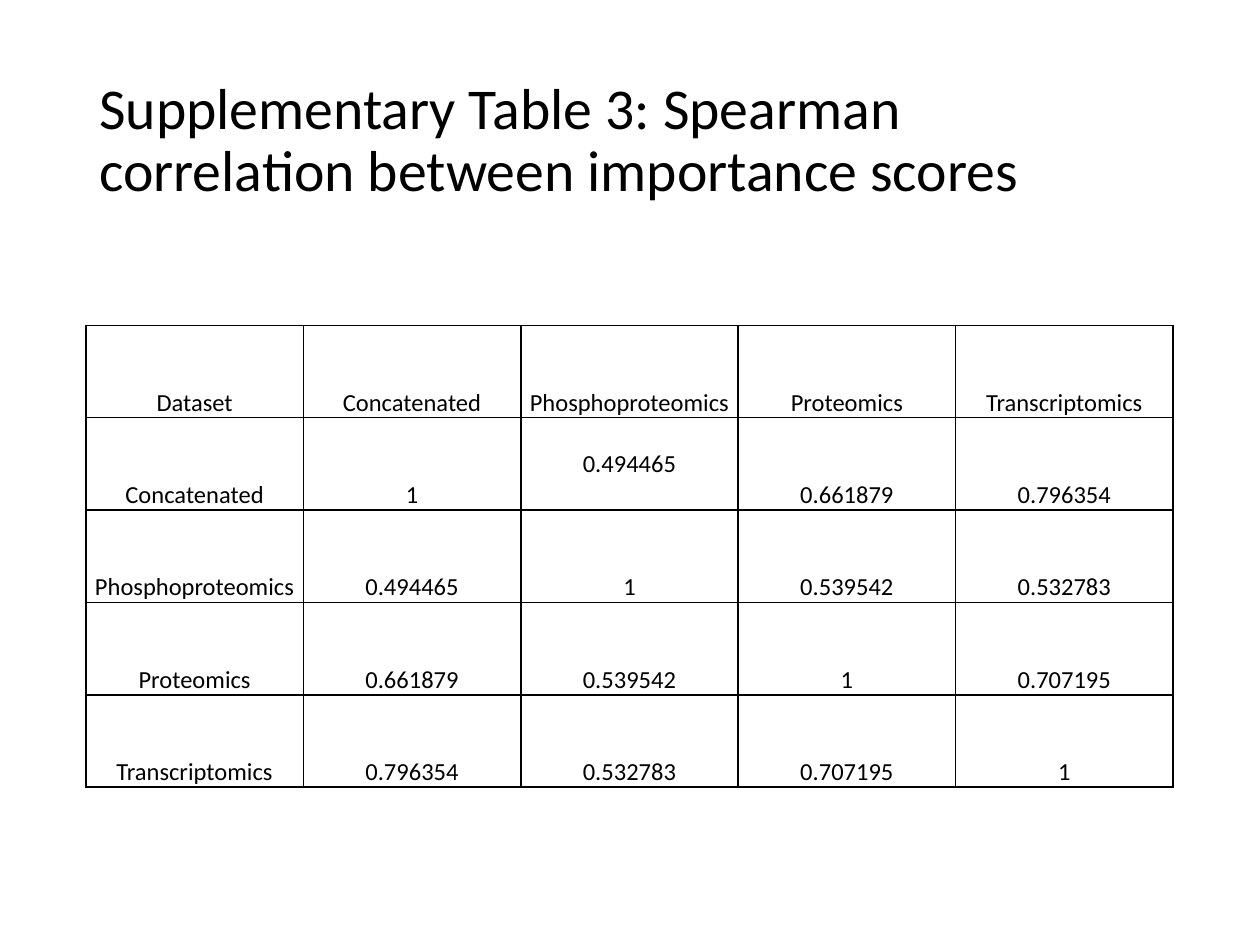
from lxml.etree import SubElement
from pptx import Presentation
from pptx.dml.color import RGBColor
from pptx.enum.text import MSO_ANCHOR, MSO_AUTO_SIZE, PP_ALIGN
from pptx.oxml.ns import qn
from pptx.util import Pt

COLORS = {"ink": "000000"}

DATASETS = ["Concatenated", "Phosphoproteomics", "Proteomics", "Transcriptomics"]
SCORES = [
    ["1", "0.494465", "0.661879", "0.796354"],
    ["0.494465", "1", "0.539542", "0.532783"],
    ["0.661879", "0.539542", "1", "0.707195"],
    ["0.796354", "0.532783", "0.707195", "1"],
]


def write_text(frame, text, size, align=PP_ALIGN.LEFT, color="ink",
               font="Calibri", line_spacing=None):
    para = frame.paragraphs[0]
    para.alignment = align
    para.line_spacing = line_spacing
    span = para.add_run()
    span.text = text
    span.font.name = font
    span.font.size = Pt(size)
    span.font.color.rgb = RGBColor.from_string(COLORS[color])


class SlideBuilder:
    """Holds the current slide and the style of its elements."""

    title_size = 33
    cell_size = 14
    border_width = 1

    def __init__(self, page):
        self.page = page

    def title(self, text, left, top, width, height):
        box = self.page.shapes.title
        box.left, box.top = Pt(left), Pt(top)
        box.width, box.height = Pt(width), Pt(height)
        frame = box.text_frame
        frame.word_wrap = True
        frame.auto_size = MSO_AUTO_SIZE.NONE
        frame.vertical_anchor = MSO_ANCHOR.MIDDLE
        write_text(frame, text, self.title_size, line_spacing=0.9)

    def borders(self, cell):
        properties = cell._tc.get_or_add_tcPr()
        for side in ("lnL", "lnR", "lnT", "lnB"):
            line = SubElement(properties, qn(f"a:{side}"), w=str(Pt(self.border_width)))
            fill = SubElement(line, qn("a:solidFill"))
            SubElement(fill, qn("a:srgbClr"), val=COLORS["ink"])

    def cell(self, cell, text):
        cell.margin_left = cell.margin_right = cell.margin_top = Pt(0.75)
        cell.margin_bottom = Pt(0)
        cell.vertical_anchor = MSO_ANCHOR.BOTTOM
        self.borders(cell)
        cell.fill.background()
        write_text(cell.text_frame, text, self.cell_size, align=PP_ALIGN.CENTER)

    def table(self, rows, left, top, column_width, row_height):
        row_count, column_count = len(rows), len(rows[0])
        table = self.page.shapes.add_table(
            row_count, column_count, Pt(left), Pt(top),
            Pt(column_width * column_count), Pt(row_height * row_count)).table
        table.first_row = table.horz_banding = False
        for column in table.columns:
            column.width = Pt(column_width)
        for row, texts in zip(table.rows, rows):
            row.height = Pt(row_height)
            for cell, text in zip(row.cells, texts):
                self.cell(cell, text)
        return table


def main():
    deck = Presentation()
    deck.slide_width, deck.slide_height = Pt(720), Pt(540)
    builder = SlideBuilder(deck.slides.add_slide(deck.slide_layouts[5]))

    # Title
    builder.title("Supplementary Table 3: Spearman correlation between importance scores",
                  left=49.5, top=28.75, width=621, height=104.4)

    # Correlation matrix
    rows = [["Dataset", *DATASETS]]
    rows += [[name, *scores] for name, scores in zip(DATASETS, SCORES)]
    table = builder.table(rows, left=49.1, top=185.9, column_width=124.25, row_height=52.8)

    # The first score off the diagonal sits mid-cell
    table.cell(1, 2).vertical_anchor = MSO_ANCHOR.MIDDLE

    deck.save("out.pptx")


if __name__ == "__main__":
    main()
